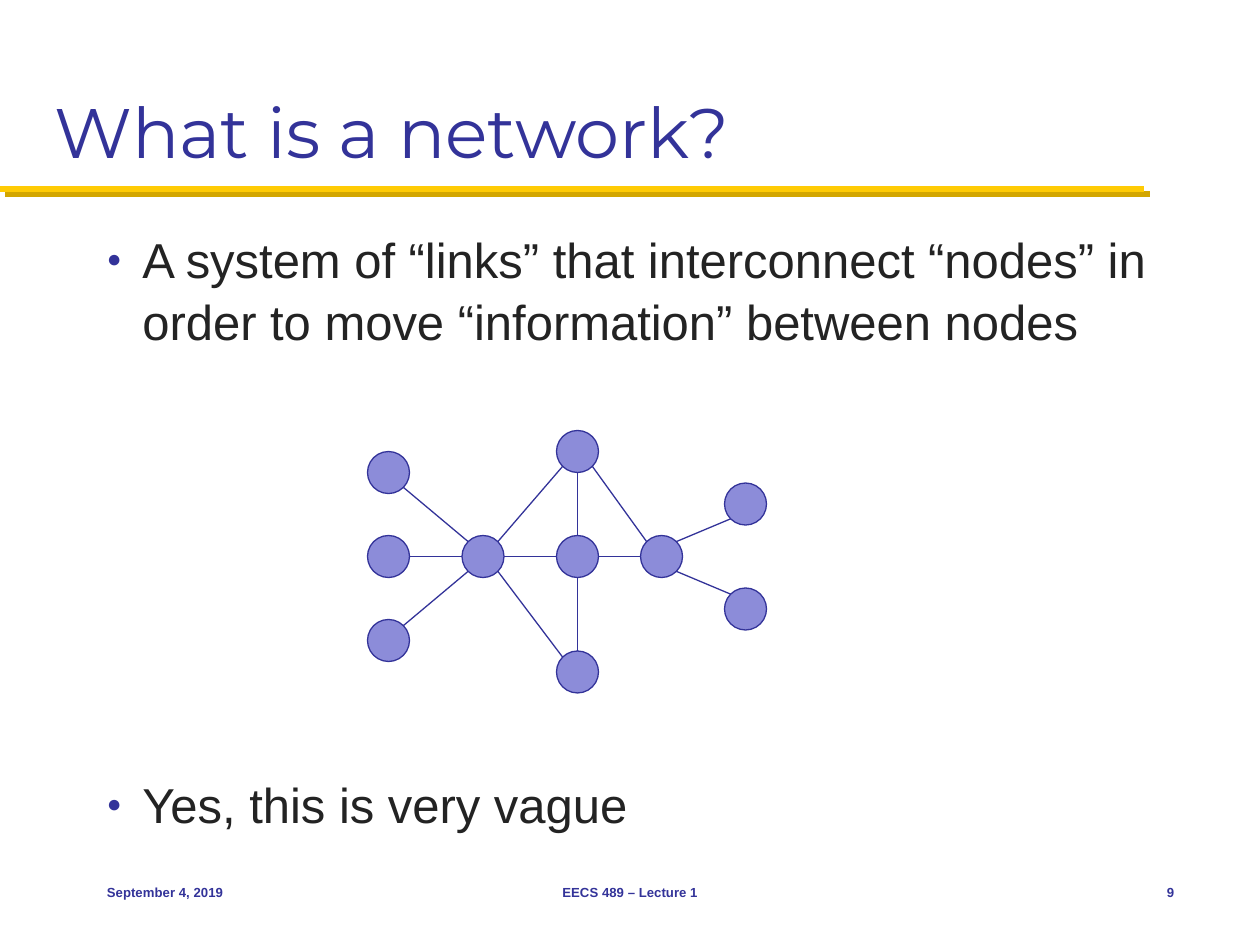
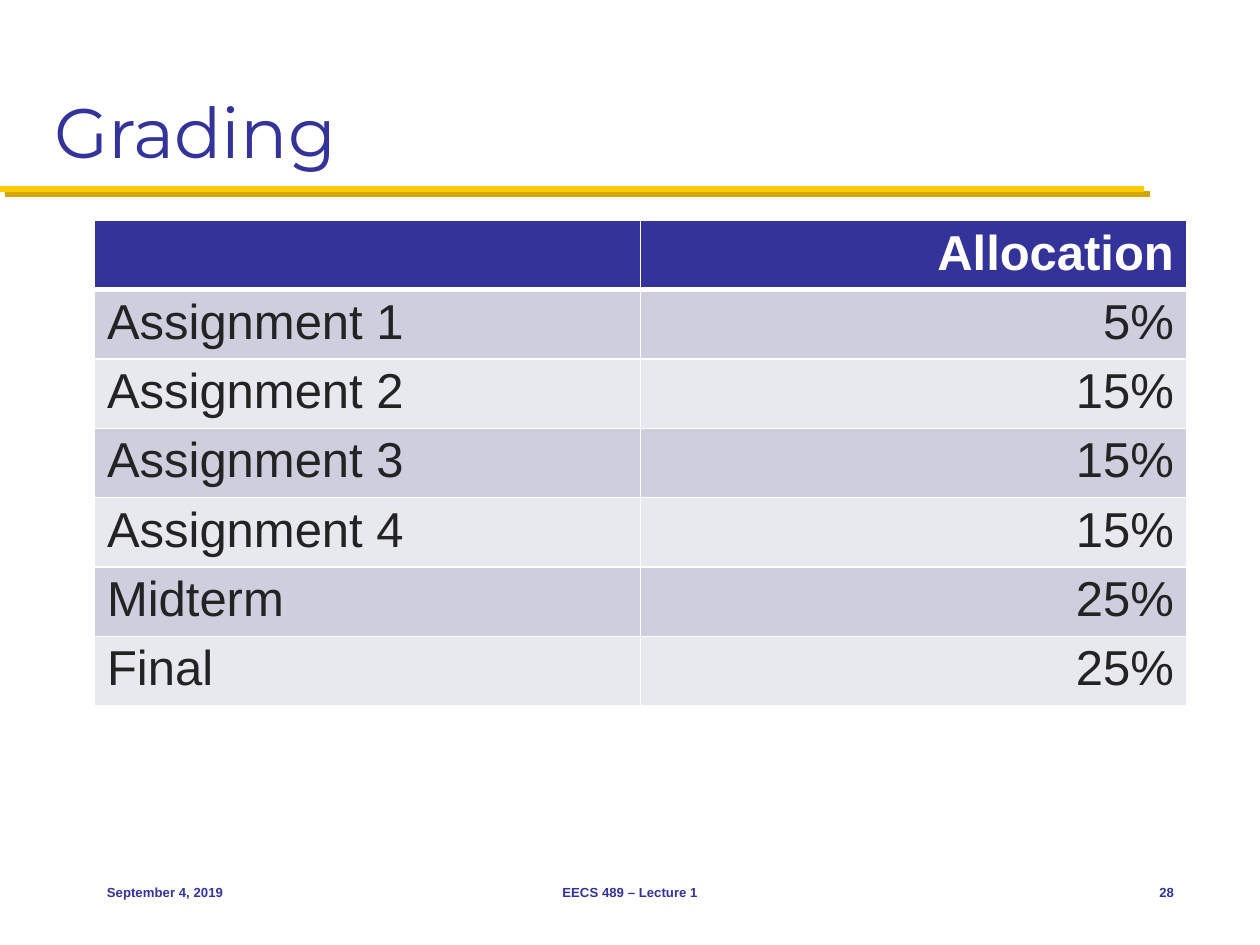
from math import copysign, sqrt

from lxml.etree import SubElement
from pptx import Presentation
from pptx.dml.color import RGBColor
from pptx.enum.shapes import MSO_CONNECTOR, MSO_SHAPE
from pptx.enum.text import MSO_ANCHOR as ANCHOR, PP_ALIGN as ALIGN
from pptx.oxml.ns import qn
from pptx.util import Pt

INDIGO = RGBColor(0x33, 0x33, 0x99)
LAVENDER = RGBColor(0x8C, 0x8C, 0xD9)
MAIZE = RGBColor(0xFF, 0xCB, 0x05)
DARK_MAIZE = RGBColor(0xD3, 0xA6, 0x00)
INK = RGBColor(0x23, 0x23, 0x23)
WHITE = RGBColor(0xFF, 0xFF, 0xFF)
ROW_DARK = RGBColor(0xCE, 0xCE, 0xDE)
ROW_LIGHT = RGBColor(0xE8, 0xE8, 0xEF)

MARGIN, CONTENT_TOP, CONTENT_WIDTH = 54, 126, 624


def write(paragraph, text, size, color, bold=False, font="Arial"):
    run = paragraph.add_run()
    run.text = text
    run.font.name = font
    run.font.size = Pt(size)
    run.font.bold = bold
    run.font.color.rgb = color


def add_line(slide, start, end, color, width):
    """Draw a straight line and return its effect list, which is empty."""
    line = slide.shapes.add_connector(
        MSO_CONNECTOR.STRAIGHT, *(Pt(length) for length in (*start, *end)))
    line.line.color.rgb = color
    line.line.width = Pt(width)
    return SubElement(line._element.spPr, qn("a:effectLst"))


deck = Presentation()
deck.slide_width, deck.slide_height = Pt(720), Pt(540)

# Shared title, rule and footer
slides = []
for title, number in [("What is a network?", "9"), ("Grading", "28")]:
    slide = deck.slides.add_slide(deck.slide_layouts[6])
    slides.append(slide)

    effects = add_line(slide, (0, 108), (654, 108), MAIZE, 3.5)
    shadow = SubElement(effects, qn("a:outerShdw"), blurRad="0",
                        dist=str(Pt(4.2)), dir="2700000", algn="ctr", rotWithShape="0")
    SubElement(shadow, qn("a:srgbClr"), val=str(DARK_MAIZE))

    for text, box, anchor, align, size, bold, font in [
        (title, (24, 12, 672, 90), ANCHOR.BOTTOM, ALIGN.LEFT, 40, False, "Montserrat"),
        ("September 4, 2019", (54, 492, 150, 36), ANCHOR.MIDDLE, ALIGN.LEFT, 7.5, True, "Arial"),
        ("EECS 489 – Lecture 1", (246, 492, 228, 36), ANCHOR.MIDDLE, ALIGN.CENTER, 7.5, True, "Arial"),
        (number, (630, 492, 48, 36), ANCHOR.MIDDLE, ALIGN.RIGHT, 7.5, True, "Arial"),
    ]:
        frame = slide.shapes.add_textbox(*(Pt(length) for length in box)).text_frame
        frame.word_wrap = True
        frame.vertical_anchor = anchor
        frame.paragraphs[0].alignment = align
        write(frame.paragraphs[0], text, size, INDIGO, bold, font)

network_slide, grading_slide = slides

# What is a network?: definition and remark, with room for the diagram between
body = network_slide.shapes.add_textbox(
    Pt(MARGIN), Pt(CONTENT_TOP), Pt(CONTENT_WIDTH), Pt(348)).text_frame
body.word_wrap = True
definition, remark = body.paragraphs[0], body.add_paragraph()
for point, text in [
    (definition, "A system of “links” that interconnect “nodes” in order to move "
                 "“information” between nodes"),
    (remark, "Yes, this is very vague"),
]:
    properties = point._p.get_or_add_pPr()
    properties.set("marL", str(Pt(20.25)))
    properties.set("indent", str(Pt(-20.25)))
    bullet_color = SubElement(properties, qn("a:buClr"))
    SubElement(bullet_color, qn("a:srgbClr"), val=str(INDIGO))
    SubElement(properties, qn("a:buSzPct"), val="50000")
    SubElement(properties, qn("a:buFont"), typeface="Arial")
    SubElement(properties, qn("a:buChar"), char="●")
    point.line_spacing = 1.05
    write(point, text, 28, INK)
remark.space_before = Pt(241)

# Node centres
RADIUS = 12
nodes = {
    "top": (330, 258), "hub": (276, 318), "bottom": (330, 384),
    "core": (330, 318), "gateway": (378, 318),
    "lower right": (426, 348), "upper right": (426, 288),
    "upper left": (222, 270), "left": (222, 318), "lower left": (222, 366),
}
links = [
    ("upper left", "hub"), ("left", "hub"), ("lower left", "hub"),
    ("bottom", "core"), ("core", "top"), ("hub", "core"), ("gateway", "core"),
    ("gateway", "upper right"), ("gateway", "lower right"),
    ("hub", "top"), ("hub", "bottom"), ("top", "gateway"),
]
for x, y in nodes.values():
    node = network_slide.shapes.add_shape(
        MSO_SHAPE.OVAL, Pt(x - RADIUS), Pt(y - RADIUS), Pt(2 * RADIUS), Pt(2 * RADIUS))
    node.shadow.inherit = False
    node.fill.solid()
    node.fill.fore_color.rgb = LAVENDER
    node.line.color.rgb = INDIGO
    node.line.width = Pt(0.75)

# Links leave a node along an axis, or at 45 degrees when slanted
for source, target in links:
    (x1, y1), (x2, y2) = nodes[source], nodes[target]
    reach = RADIUS / sqrt(2) if x1 != x2 and y1 != y2 else RADIUS
    dx = copysign(reach, x2 - x1) if x1 != x2 else 0
    dy = copysign(reach, y2 - y1) if y1 != y2 else 0
    add_line(network_slide, (x1 + dx, y1 + dy), (x2 - dx, y2 - dy), INDIGO, 0.75)

# Grading
grades = [
    ("", "Allocation"),
    ("Assignment 1", "5%"),
    ("Assignment 2", "15%"),
    ("Assignment 3", "15%"),
    ("Assignment 4", "15%"),
    ("Midterm", "25%"),
    ("Final", "25%"),
]
ROW_HEIGHT = 38.4
allocation = grading_slide.shapes.add_table(
    len(grades), 2, Pt(MARGIN), Pt(CONTENT_TOP), Pt(CONTENT_WIDTH),
    Pt(ROW_HEIGHT * len(grades))).table
for row, entries in enumerate(grades):
    allocation.rows[row].height = Pt(ROW_HEIGHT)
    header = row == 0
    for column, text in enumerate(entries):
        cell = allocation.cell(row, column)
        cell.margin_top = cell.margin_bottom = Pt(3)
        cell_properties = cell._tc.get_or_add_tcPr()
        for side in "LRTB":
            heavy = (row, side) in [(0, "B"), (1, "T")]
            border = SubElement(cell_properties, qn(f"a:ln{side}"), w=str(Pt(3 if heavy else 1)))
            border_fill = SubElement(border, qn("a:solidFill"))
            SubElement(border_fill, qn("a:srgbClr"), val=str(WHITE))
        cell.fill.solid()
        cell.fill.fore_color.rgb = INDIGO if header else ROW_DARK if row % 2 else ROW_LIGHT
        paragraph = cell.text_frame.paragraphs[0]
        paragraph.alignment = ALIGN.RIGHT if column else ALIGN.LEFT
        if text:
            write(paragraph, text, 28, WHITE if header else INK, bold=header)

deck.save("out.pptx")
